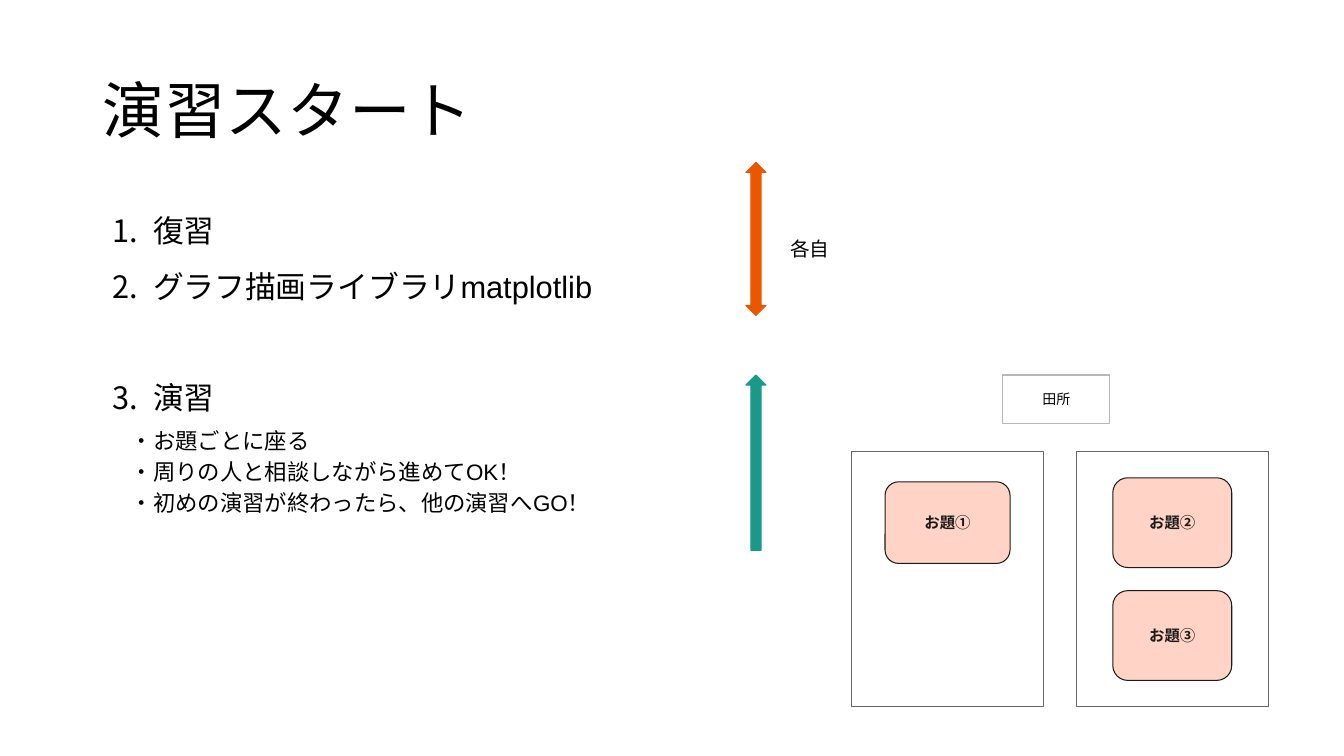
from dataclasses import dataclass

from lxml import etree
from pptx import Presentation
from pptx import util as u
from pptx.dml.color import RGBColor
from pptx.enum import shapes, text
from pptx.oxml import ns


@dataclass(frozen=True)
class Theme:
    font: str = "Arial"
    label_font: str = "Lato"
    black: str = "000000"
    white: str = "FFFFFF"
    ink: str = "1A1A1A"
    orange: str = "EB5600"
    green: str = "1A9988"
    peach: str = "FFB8A2"
    gray: str = "666666"
    light_gray: str = "B7B7B7"
    title: int = 44
    item: int = 22
    note: int = 16
    caption: int = 14
    topic: int = 11
    label: int = 10


class Board:
    """Places elements by (left, top, width, height) in percent of the slide."""

    def __init__(self, presentation, theme):
        self.presentation = presentation
        self.theme = theme
        self.slide = presentation.slides.add_slide(presentation.slide_layouts[6])

    def area(self, box):
        width, height = self.presentation.slide_width, self.presentation.slide_height
        return [round(share * side / 100)
                for share, side in zip(box, (width, height, width, height))]

    def fill_text(self, shape, lines, size, color, font=None, bold=False, spacing=1.0,
                  align=text.PP_ALIGN.LEFT, anchor=text.MSO_ANCHOR.TOP, inset=0.1):
        frame = shape.text_frame
        frame.word_wrap = True
        frame.vertical_anchor = anchor
        frame.margin_left = frame.margin_right = u.Inches(0.1)
        frame.margin_top = frame.margin_bottom = u.Inches(inset)
        for index, line in enumerate(lines):
            paragraph = frame.add_paragraph() if index else frame.paragraphs[0]
            paragraph.text = line
            paragraph.alignment = align
            paragraph.line_spacing = spacing
            paragraph.font.name = font or self.theme.font
            paragraph.font.size = u.Pt(size)
            paragraph.font.bold = bold
            paragraph.font.color.rgb = RGBColor.from_string(color)
        return frame.paragraphs

    def text(self, box, lines, size, **style):
        shape = self.slide.shapes.add_textbox(*self.area(box))
        return self.fill_text(shape, lines, size, self.theme.black, **style)

    def numbered(self, box, lines, size, **style):
        paragraphs = self.text(box, lines, size, **style)
        for paragraph in paragraphs:
            properties = paragraph._p.get_or_add_pPr()
            properties.set("marL", str(u.Inches(0.5)))
            properties.set("indent", str(u.Inches(-0.4)))
            number = etree.Element(ns.qn("a:buAutoNum"), type="arabicPeriod")
            properties.find(ns.qn("a:defRPr")).addprevious(number)
        return paragraphs

    def shape(self, kind, box, line, fill=None, opacity=100):
        shape = self.slide.shapes.add_shape(kind, *self.area(box))
        shape.shadow.inherit = False
        shape.line.color.rgb = RGBColor.from_string(line)
        shape.line.width = u.Pt(0.75)
        if fill is None:
            shape.fill.background()
            return shape
        shape.fill.solid()
        shape.fill.fore_color.rgb = RGBColor.from_string(fill)
        if opacity < 100:
            color = shape._element.spPr.find(ns.qn("a:solidFill"))[0]
            etree.SubElement(color, ns.qn("a:alpha"), val=str(opacity * 1000))
        return shape

    def centered(self, shape, label, size, color, **style):
        self.fill_text(shape, [label], size, color, align=text.PP_ALIGN.CENTER,
                       anchor=text.MSO_ANCHOR.MIDDLE, **style)

    def topic(self, box, label):
        shape = self.shape(shapes.MSO_SHAPE.ROUNDED_RECTANGLE, box,
                           self.theme.ink, self.theme.peach, opacity=60)
        self.centered(shape, label, self.theme.topic, self.theme.ink, bold=True)


def main():
    presentation = Presentation()
    presentation.slide_width = u.Inches(13.33)
    presentation.slide_height = u.Inches(7.5)
    theme = Theme()
    board = Board(presentation, theme)
    kinds = shapes.MSO_SHAPE

    # Title and agenda
    board.text((6.9, 5.33, 86.25, 19.33), ["演習スタート"], theme.title,
               spacing=0.9, anchor=text.MSO_ANCHOR.MIDDLE, inset=0.05)
    agenda = board.numbered((6.9, 24.27, 39.4, 35.47),
                            ["復習", "グラフ描画ライブラリmatplotlib", "演習"],
                            theme.item, spacing=1.5)
    agenda[-1].space_before = u.Pt(39.6)

    # Time arrows
    arrow_left, arrow_width = 55.5, 1.5
    board.shape(kinds.UP_DOWN_ARROW, (arrow_left, 21.47, arrow_width, 20.27),
                theme.orange, theme.orange)
    board.text((58.05, 30, 4.6, 5.87), ["各自"], theme.caption)
    board.shape(kinds.UP_ARROW, (arrow_left, 49.6, arrow_width, 23.2),
                theme.green, theme.green)

    # Exercise notes
    board.text((9, 54.67, 46.5, 14.53),
               ["・お題ごとに座る", "・周りの人と相談しながら進めてOK！",
                "・初めの演習が終わったら、他の演習へGO！"],
               theme.note, spacing=1.15)

    # Seating plan: lecturer, two tables, topics
    lecturer = board.shape(kinds.RECTANGLE, (74.63, 49.6, 7.95, 6.4), theme.light_gray)
    board.centered(lecturer, "田所", theme.label, theme.black, font=theme.label_font)
    for column in range(2):
        board.shape(kinds.RECTANGLE, (63.38 + column * 16.73, 59.73, 14.25, 33.73),
                    theme.gray, theme.white)
    board.topic((65.85, 63.73, 9.3, 10.8), "お題①")
    for row, label in enumerate(["お題②", "お題③"]):
        board.topic((82.8, 63.2 + row * 14.93, 8.85, 11.87), label)

    presentation.save("out.pptx")


if __name__ == "__main__":
    main()
